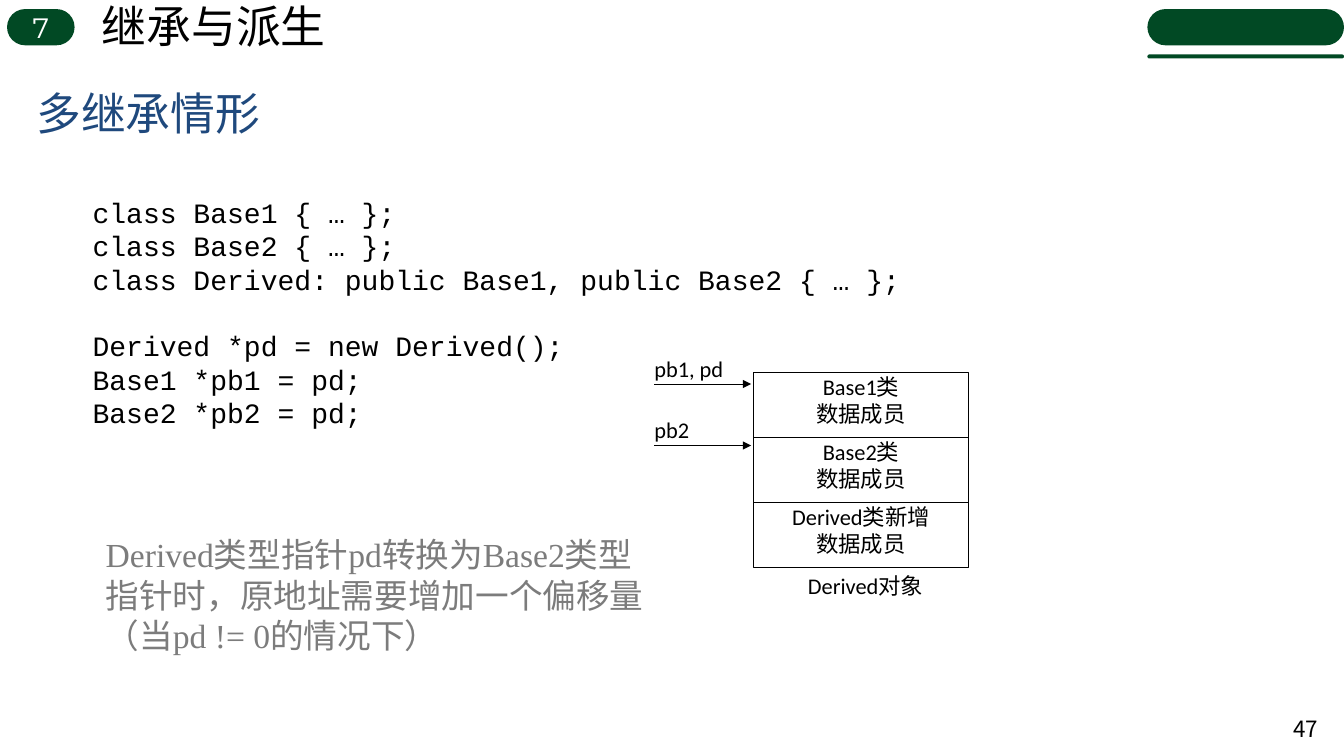
from lxml import etree
from pptx import Presentation
from pptx.dml.color import RGBColor
from pptx.enum.shapes import MSO_CONNECTOR, MSO_SHAPE
from pptx.enum.text import MSO_ANCHOR, PP_ALIGN
from pptx.oxml.ns import qn
from pptx.util import Inches, Pt

ROUNDED, RECTANGLE = MSO_SHAPE.ROUNDED_RECTANGLE, MSO_SHAPE.RECTANGLE
STRAIGHT = MSO_CONNECTOR.STRAIGHT
LEFT, CENTER, RIGHT, JUSTIFY = PP_ALIGN.LEFT, PP_ALIGN.CENTER, PP_ALIGN.RIGHT, PP_ALIGN.JUSTIFY
TOP, MIDDLE = MSO_ANCHOR.TOP, MSO_ANCHOR.MIDDLE
GREEN, BLACK, WHITE, BLUE, GRAY = "014924", "000000", "FFFFFF", "1F497D", "7C7C7C"


def rgb(value):
    return RGBColor.from_string(value)


def write(shape, lines, font, size, color=BLACK, align=LEFT, anchor=TOP, wrap=True, inset=True):
    """Fill a shape with one paragraph per line, all in the same format."""
    frame = shape.text_frame
    frame.word_wrap = wrap
    frame.vertical_anchor = anchor
    if not inset:
        frame.margin_left = frame.margin_top = frame.margin_right = frame.margin_bottom = 0
    frame.text = "\n".join(lines)
    for paragraph in frame.paragraphs:
        paragraph.alignment = align
        paragraph.font.name = font
        paragraph.font.size = Pt(size)
        paragraph.font.color.rgb = rgb(color)
    return frame


prs = Presentation()
prs.slide_width, prs.slide_height = Inches(13.33), Inches(7.5)
slide = prs.slides.add_slide(prs.slide_layouts[5])
shapes = slide.shapes

# Header: chapter badge and corner ornament
pills = []
for left, top, width, height in [(0.07, 0.09, 0.67, 0.36),
                                 (11.38, 0.09, 1.95, 0.36),
                                 (11.38, 0.54, 1.95, 0.04)]:
    pill = shapes.add_shape(ROUNDED, Inches(left), Inches(top), Inches(width), Inches(height))
    pill.adjustments[0] = 0.5
    pill.shadow.inherit = False
    pill.fill.solid()
    pill.fill.fore_color.rgb = rgb(GREEN)
    pill.line.fill.background()
    pills.append(pill)
write(pills[0], ["7"], "Montserrat", 20, WHITE, CENTER, MIDDLE)

chapter = shapes.add_textbox(Inches(0.91), Inches(-0.06), Inches(2.45), Inches(0.64))
write(chapter, ["继承与派生"], "Arial", 32, wrap=False)

page_number = shapes.add_textbox(Inches(12.68), Inches(7.03), Inches(0.49), Inches(0.4))
write(page_number, ["47"], "Noto Sans CJK SC", 16, align=RIGHT, anchor=MIDDLE)

title = shapes.title
title.left, title.top, title.width, title.height = Inches(0.26), Inches(0.68), Inches(9), Inches(0.88)
write(title, ["多继承情形"], "Montserrat", 32, BLUE, anchor=MIDDLE)

# Code: declarations, then pointer conversions
declarations = ["class Base1 { … };",
                "class Base2 { … };",
                "class Derived: public Base1, public Base2 { … };"]
conversions = ["Derived *pd = new Derived();", "Base1 *pb1 = pd;", "Base2 *pb2 = pd;"]
code = shapes.add_textbox(Inches(0.82), Inches(1.91), Inches(9.14), Inches(5.12))
code_frame = write(code, declarations + conversions, "Courier New", 20)
for paragraph in code_frame.paragraphs:
    paragraph.line_spacing = 0.95
    paragraph.space_after = Pt(1.3)
code_frame.paragraphs[len(declarations)].space_before = Pt(22.9)

note = shapes.add_textbox(Inches(0.95), Inches(5.25), Inches(5.69), Inches(1.31))
write(note, ["Derived类型指针pd转换为Base2类型指针时，原地址需要增加一个偏移量（当pd != 0的情况下）"],
      "Times New Roman", 24, GRAY)

# Memory layout of the derived object
for index, owner in enumerate(["Base1类", "Base2类", "Derived类新增"]):
    block = shapes.add_shape(RECTANGLE, Inches(7.47), Inches(3.7 + 0.645 * index),
                             Inches(2.14), Inches(0.645))
    block.shadow.inherit = False
    block.fill.background()
    block.line.color.rgb = rgb(BLACK)
    block.line.width = Pt(0.75)
    write(block, [owner, "数据成员"], "Calibri", 16, align=CENTER, inset=False)

object_caption = shapes.add_textbox(Inches(7.92), Inches(5.68), Inches(1.33), Inches(0.34))
write(object_caption, ["Derived对象"], "Calibri", 16, align=CENTER, inset=False)

for index, pointer in enumerate(["pb1, pd", "pb2"]):
    arrow_y = 3.81 + 0.61 * index
    arrow = shapes.add_connector(STRAIGHT, Inches(6.49), Inches(arrow_y),
                                 Inches(7.45), Inches(arrow_y))
    arrow.line.color.rgb = rgb(BLACK)
    arrow.line.width = Pt(0.75)
    etree.SubElement(arrow.line._get_or_add_ln(), qn("a:tailEnd"), type="triangle")
    etree.SubElement(arrow._element.spPr, qn("a:effectLst"))
    label = shapes.add_textbox(Inches(6.49), Inches(arrow_y - 0.29), Inches(0.86), Inches(0.39))
    write(label, [pointer], "Calibri", 16, align=JUSTIFY, inset=False)

prs.save("out.pptx")
